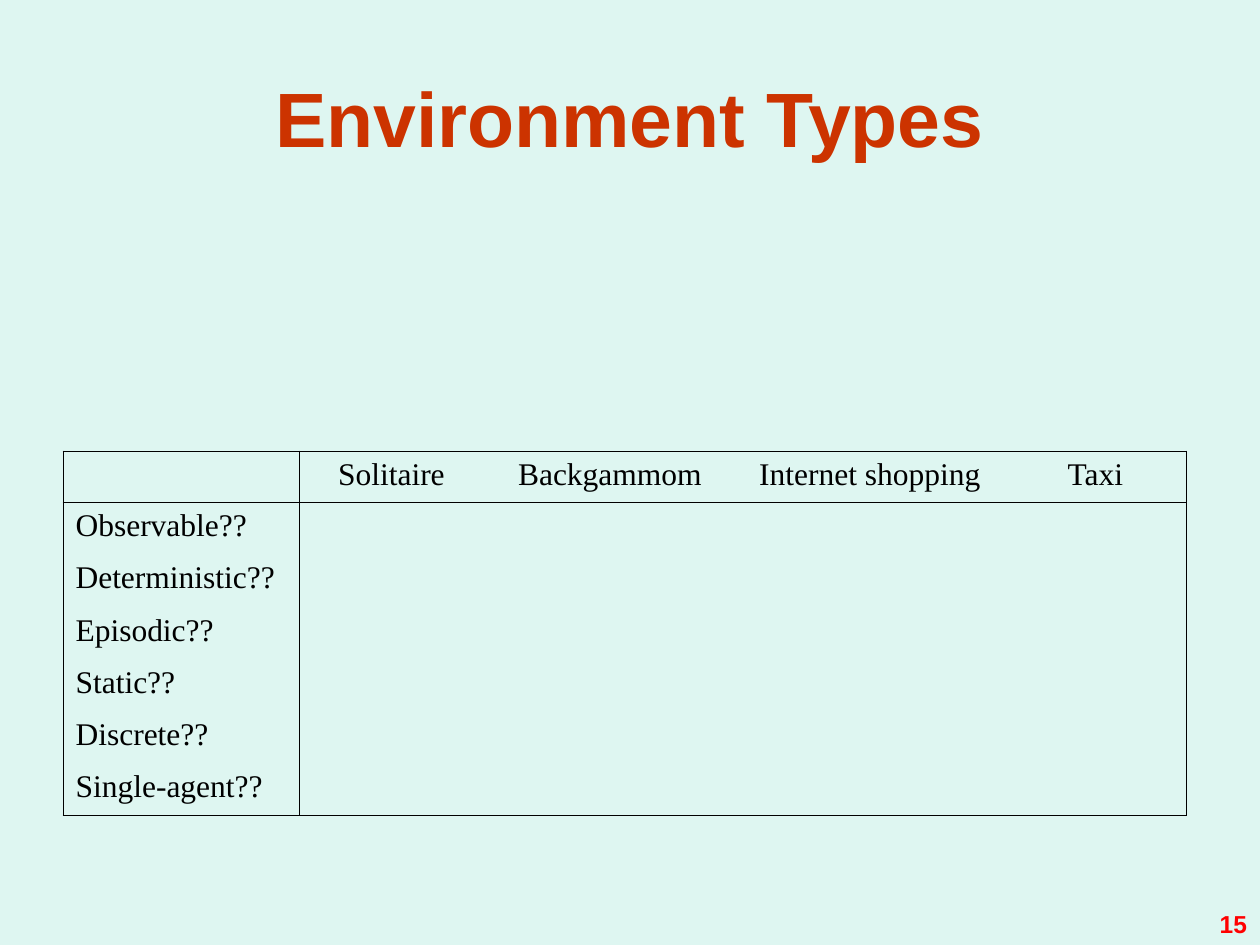
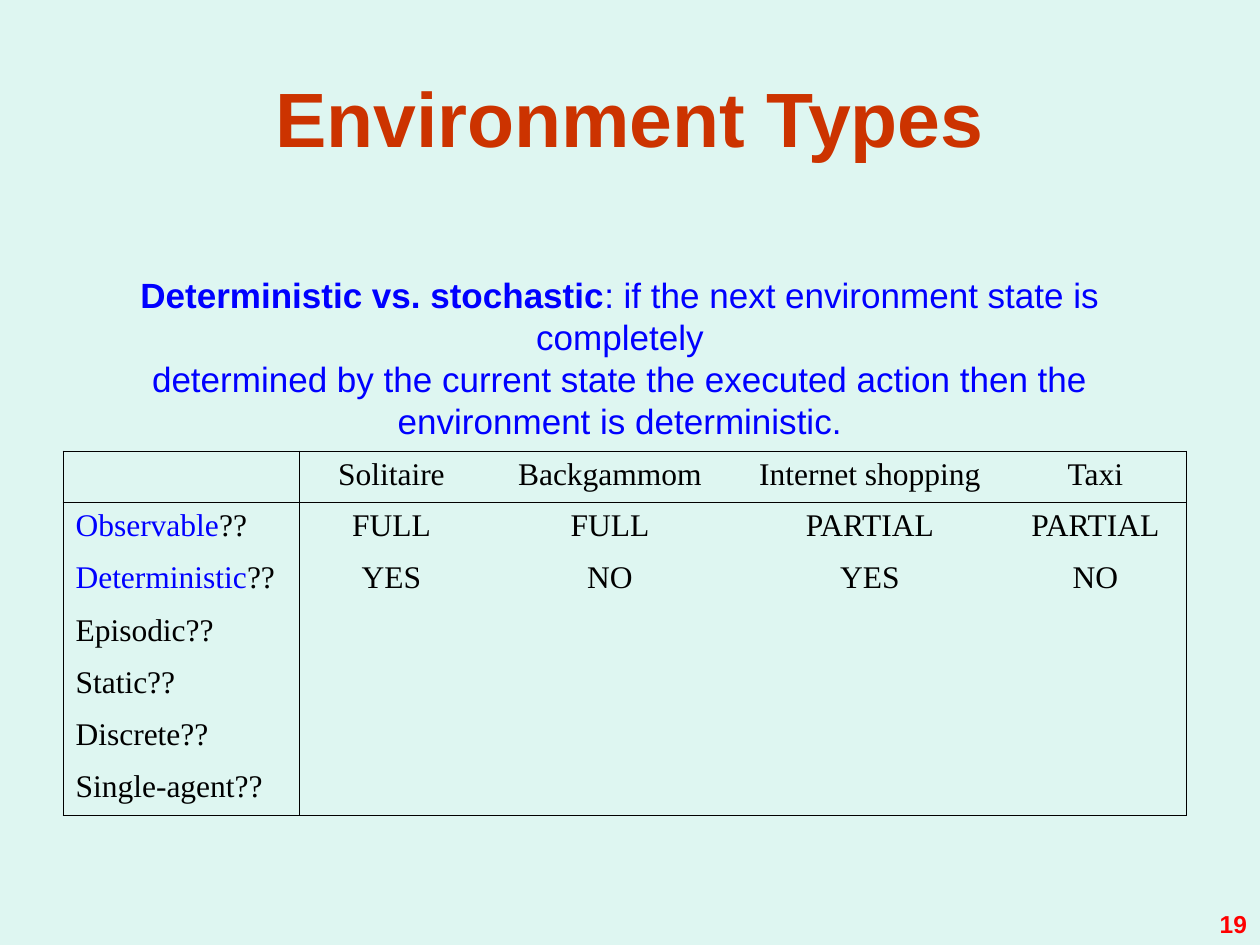
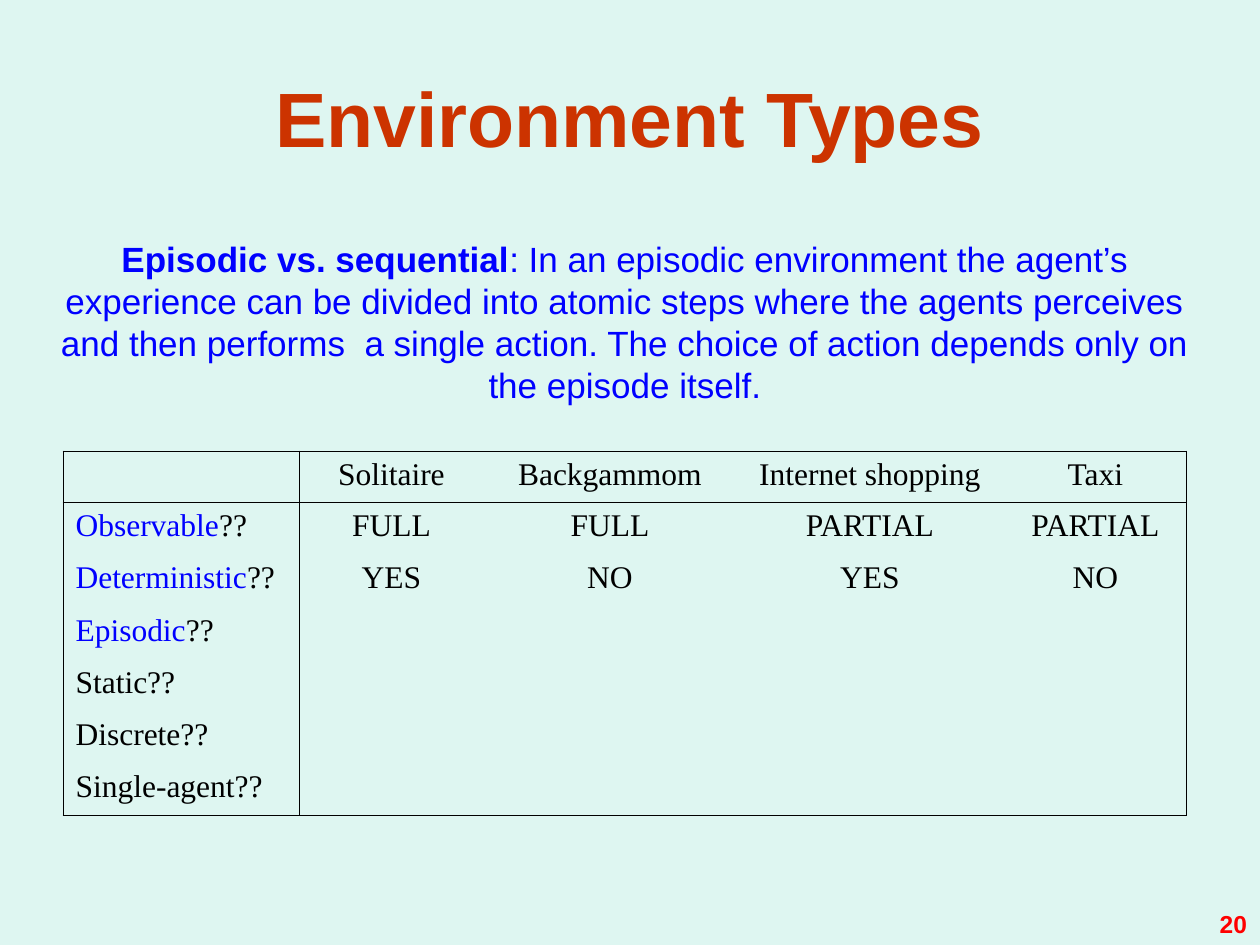
from pptx import Presentation
from pptx.dml.color import RGBColor
from pptx.enum.text import MSO_ANCHOR as Anchor, MSO_AUTO_SIZE as AutoSize, PP_ALIGN as Align
from pptx.oxml.ns import qn
from pptx.util import Pt
from lxml.etree import SubElement

# Shared scale, colours and fonts
PX = 914400 // 126
BACKGROUND = RGBColor(0xDE, 0xF6, 0xF1)
TITLE_RED = RGBColor(0xCC, 0x33, 0x00)
NUMBER_RED = RGBColor(0xFF, 0x00, 0x00)
BLUE = RGBColor(0x00, 0x00, 0xFF)
BLACK = RGBColor(0x00, 0x00, 0x00)
SANS = "Arial"
SERIF = "Times New Roman"

# Table content and grid
TASKS = ["Solitaire", "Backgammom", "Internet shopping", "Taxi"]
PROPERTIES = ["Observable", "Deterministic", "Episodic", "Static", "Discrete", "Single-agent"]
ANSWERS = [
    ["FULL", "FULL", "PARTIAL", "PARTIAL"],
    ["YES", "NO", "YES", "NO"],
]
COLUMN_WIDTHS = [236, 185, 252, 268, 183]
ROW_HEIGHTS = [51, 52, 53, 52, 52, 52, 52]
BORDER_WIDTH = Pt(0.45)


def px(*lengths):
    return [length * PX for length in lengths]


def add_run(paragraph, text, size, color, font=SANS, bold=False):
    run = paragraph.add_run()
    run.text = text
    run.font.size = Pt(size)
    run.font.name = font
    run.font.bold = bold
    run.font.color.rgb = color


def add_text_box(slide, box, margin_x, margin_y):
    frame = slide.shapes.add_textbox(*px(*box)).text_frame
    frame.word_wrap = True
    frame.margin_left, frame.margin_right = px(margin_x, margin_x)
    frame.margin_top, frame.margin_bottom = px(margin_y, margin_y)
    return frame


def set_title(slide, text):
    title = slide.shapes.title
    title.left, title.top, title.width, title.height = px(63, 38, 1134, 158)
    title.text_frame.vertical_anchor = Anchor.MIDDLE
    paragraph = title.text_frame.paragraphs[0]
    paragraph.alignment = Align.CENTER
    add_run(paragraph, text, 44, TITLE_RED, bold=True)


def add_page_number(slide, number):
    frame = add_text_box(slide, (966, 879, 294, 66), 13, 6)
    frame.vertical_anchor = Anchor.BOTTOM
    paragraph = frame.paragraphs[0]
    paragraph.alignment = Align.RIGHT
    add_run(paragraph, str(number), 14, NUMBER_RED, bold=True)


def add_definition(slide, box, margin_y, term, lines):
    """Bold term followed by its explanation, one paragraph per line."""
    frame = add_text_box(slide, box, 0, margin_y)
    frame.auto_size = AutoSize.SHAPE_TO_FIT_TEXT
    for index, line in enumerate(lines):
        paragraph = frame.add_paragraph() if index else frame.paragraphs[0]
        paragraph.alignment = Align.CENTER
        paragraph.line_spacing = Pt(24)
        if index == 0:
            add_run(paragraph, term, 20, BLUE, bold=True)
        add_run(paragraph, line, 20, BLUE)


def set_borders(cell, visible):
    """Draw the visible sides in black and clear the others."""
    properties = cell._tc.get_or_add_tcPr()
    for side in "LRTB":
        line = SubElement(properties, qn(f"a:ln{side}"), w=str(BORDER_WIDTH))
        if side in visible:
            fill = SubElement(line, qn("a:solidFill"))
            SubElement(fill, qn("a:srgbClr"), val=str(BLACK))
        else:
            SubElement(line, qn("a:noFill"))


def visible_sides(row, column):
    """Frame around the table, with the header row and first column ruled off."""
    last_row, last_column = len(ROW_HEIGHTS) - 1, len(COLUMN_WIDTHS) - 1
    rules = {
        "L": column <= 1,
        "R": column in (0, last_column),
        "T": row <= 1,
        "B": row in (0, last_row),
    }
    return [side for side, shown in rules.items() if shown]


def fill_cell(cell, row, column, highlighted, answered):
    paragraph = cell.text_frame.paragraphs[0]
    if column == 0:
        if row > 0:
            color = BLUE if row <= highlighted else BLACK
            add_run(paragraph, PROPERTIES[row - 1], 18, color, SERIF)
            add_run(paragraph, "??", 18, BLACK, SERIF)
        return
    paragraph.alignment = Align.CENTER
    if row <= answered:
        texts = TASKS if row == 0 else ANSWERS[row - 1]
        add_run(paragraph, texts[column - 1], 18, BLACK, SERIF)


def add_environment_table(slide, highlighted, answered):
    box = px(63, 451, sum(COLUMN_WIDTHS), sum(ROW_HEIGHTS))
    table = slide.shapes.add_table(len(ROW_HEIGHTS), len(COLUMN_WIDTHS), *box).table
    table.first_row = table.horz_banding = False
    for column, width in zip(table.columns, px(*COLUMN_WIDTHS)):
        column.width = width
    for row, height in zip(table.rows, px(*ROW_HEIGHTS)):
        row.height = height
    for row in range(len(ROW_HEIGHTS)):
        for column in range(len(COLUMN_WIDTHS)):
            cell = table.cell(row, column)
            set_borders(cell, visible_sides(row, column))
            cell.fill.background()
            fill_cell(cell, row, column, highlighted, answered)


def add_environment_slide(presentation, number, highlighted=0, answered=0):
    slide = presentation.slides.add_slide(presentation.slide_layouts[5])
    set_title(slide, "Environment Types")
    add_environment_table(slide, highlighted, answered)
    add_page_number(slide, number)
    return slide


def main():
    presentation = Presentation()
    presentation.slide_width, presentation.slide_height = px(1260, 945)
    background = presentation.slide_master.background.fill
    background.solid()
    background.fore_color.rgb = BACKGROUND

    # Open questions
    add_environment_slide(presentation, 15)

    # Deterministic or stochastic
    slide = add_environment_slide(presentation, 19, highlighted=2, answered=2)
    add_definition(slide, (53, 273, 1134, 170), 1, "Deterministic vs. stochastic", [
        ": if the next environment state is completely",
        "determined by the current state the executed action then the "
        "environment is deterministic.",
    ])

    # Episodic or sequential
    slide = add_environment_slide(presentation, 20, highlighted=3, answered=2)
    add_definition(slide, (53, 231, 1144, 181), 6, "Episodic vs. sequential", [
        ": In an episodic environment the agent’s experience can be divided into "
        "atomic steps where the agents perceives and then performs  a single action. "
        "The choice of action depends only on the episode itself.",
    ])

    presentation.save("out.pptx")


if __name__ == "__main__":
    main()
